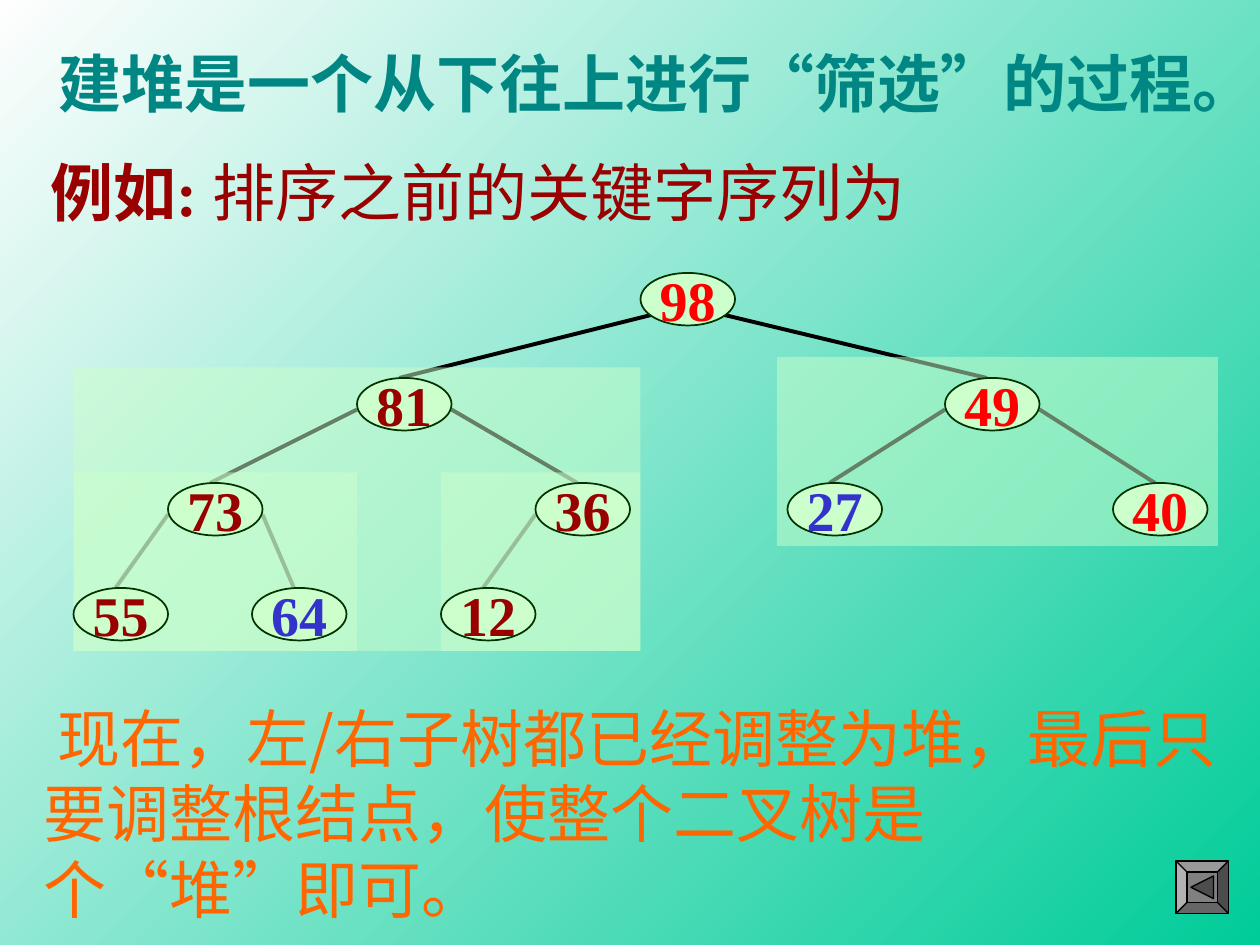
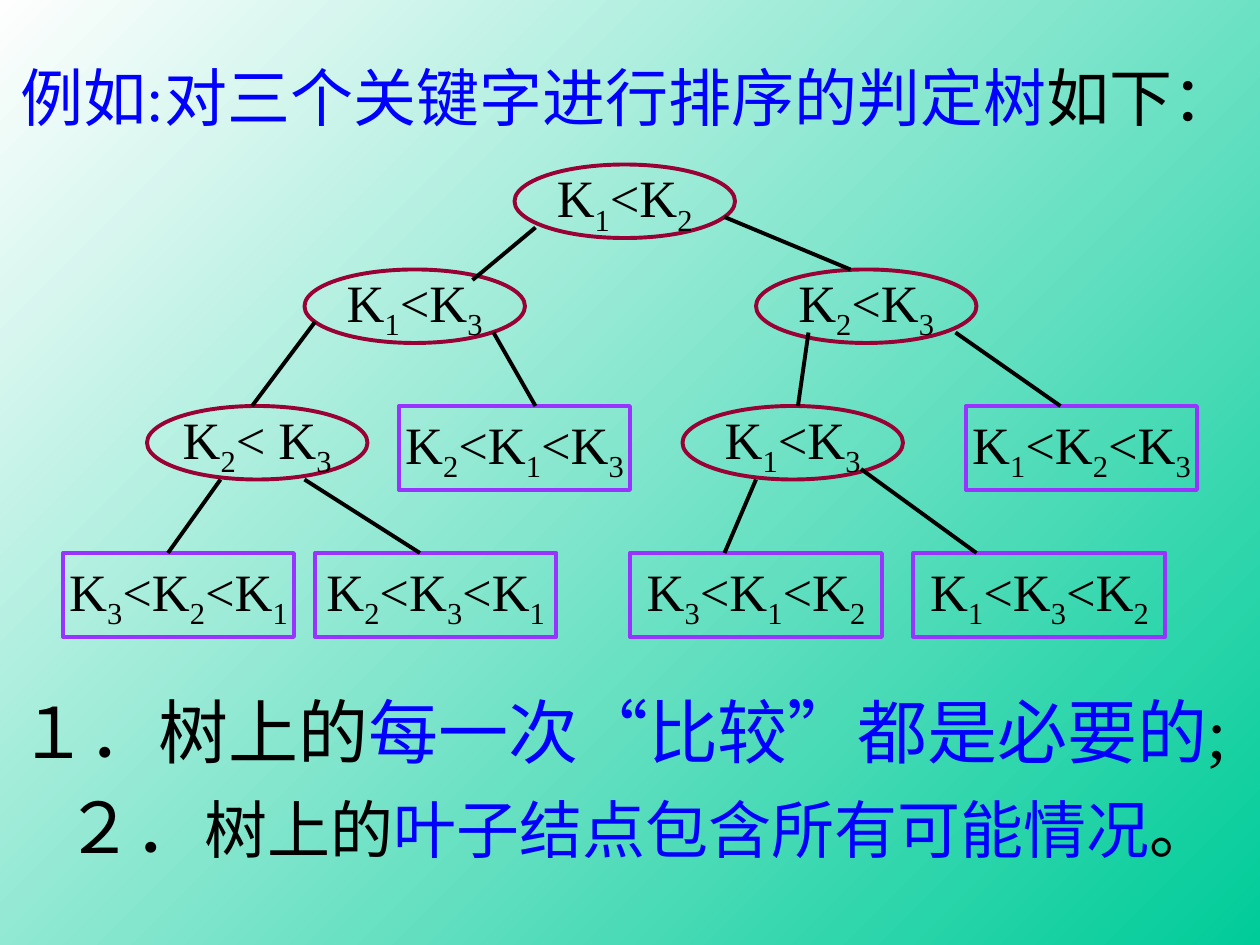
from itertools import groupby

from lxml import etree
from pptx import Presentation
from pptx.dml.color import RGBColor
from pptx.enum.shapes import MSO_CONNECTOR, MSO_SHAPE
from pptx.enum.text import MSO_ANCHOR, MSO_AUTO_SIZE, PP_ALIGN
from pptx.oxml.ns import qn
from pptx.util import Inches, Pt

COLS, ROWS = 120, 90
WIDTH, HEIGHT = Inches(10), Inches(7.5)
STRAIGHT = MSO_CONNECTOR.STRAIGHT
OVAL, RECT = MSO_SHAPE.OVAL, MSO_SHAPE.RECTANGLE
BEVEL, TRIANGLE = MSO_SHAPE.BEVEL, MSO_SHAPE.ISOSCELES_TRIANGLE
TOP, MIDDLE = MSO_ANCHOR.TOP, MSO_ANCHOR.MIDDLE
LEFT, CENTER = PP_ALIGN.LEFT, PP_ALIGN.CENTER
NO_FIT = MSO_AUTO_SIZE.NONE
SERIF, CJK = "Times New Roman", "Noto Sans CJK SC"
COLORS = {
    "green": "00CC99", "white": "FEFEFE", "teal": "008784", "black": "000000",
    "maroon": "990000", "orange": "FF6600", "red": "FF0000", "indigo": "3333CC",
    "mint": "CCFFCC", "forest": "003300", "blue": "0000FF", "wine": "990033",
    "violet": "9933FF", "gray": "808080", "dark": "4D4D4D",
}

HEAP_NODES = {
    "98": (54, 0, "red"), "81": (27, 10, "maroon"), "49": (83, 10, "red"),
    "73": (9, 20, "maroon"), "36": (44, 20, "maroon"), "27": (68, 20, "indigo"),
    "40": (99, 20, "red"), "55": (0, 30, "maroon"), "64": (17, 30, "indigo"),
    "12": (35, 30, "maroon"),
}
HEAP_EDGES = [("98", "81"), ("98", "49"), ("81", "73"), ("81", "36"), ("49", "27"),
              ("49", "40"), ("73", "55"), ("73", "64"), ("36", "12")]
SUBTREES = [(35, 19, 19, 17), (0, 19, 27, 17), (67, 8, 42, 18), (0, 9, 54, 27)]

COMPARISONS = [("K1<K2", 43, 0), ("K1<K3", 23, 10), ("K2<K3", 66, 10),
               ("K2< K3", 8, 23), ("K1<K3", 59, 23)]
OUTCOMES = [("K2<K1<K3", 32, 23, 22), ("K1<K2<K3", 86, 23, 22),
            ("K3<K2<K1", 0, 37, 22), ("K2<K3<K1", 24, 37, 23),
            ("K3<K1<K2", 54, 37, 24), ("K1<K3<K2", 81, 37, 24)]
BRANCHES = [(45, 6, 39, 11), (63, 5, 75, 10), (24, 15, 18, 23), (41, 16, 45, 23),
            (71, 16, 70, 23), (85, 16, 95, 23), (15, 30, 10, 37), (23, 30, 34, 37),
            (66, 30, 63, 37), (76, 29, 87, 37)]


def rgb(name):
    """Return the named colour."""
    return RGBColor.from_string(COLORS[name])


def place(origin, col, row):
    """Return the slide position of a grid point counted from an origin."""
    return (round((origin[0] + col) * WIDTH / COLS),
            round((origin[1] + row) * HEIGHT / ROWS))


def area(origin, col, row, width, height):
    """Return left, top, width and height of a grid area."""
    return (*place(origin, col, row), *place((0, 0), width, height))


def style_run(run, size, color, bold=False, latin=SERIF):
    """Give a run its fonts, size and colour."""
    run.font.size, run.font.bold, run.font.name = Pt(size), bold, latin
    run.font.color.rgb = rgb(color)
    east_asian = etree.SubElement(run._r.get_or_add_rPr(), qn("a:ea"))
    east_asian.set("typeface", CJK)


def write(frame, parts, align=LEFT, anchor=TOP, wrap=False):
    """Fill a frame with one paragraph of (text, style...) parts."""
    frame.auto_size, frame.word_wrap, frame.vertical_anchor = NO_FIT, wrap, anchor
    frame.margin_left = frame.margin_right = Inches(0.1)
    frame.margin_top = frame.margin_bottom = Inches(0.05)
    paragraph = frame.paragraphs[0]
    paragraph.alignment = align
    for words, *style in parts:
        run = paragraph.add_run()
        run.text = words
        style_run(run, *style)
    return paragraph


def write_formula(frame, formula):
    """Write a comparison of keys with their digits as subscripts."""
    pieces = [(digit, "".join(chars)) for digit, chars in groupby(formula, str.isdigit)]
    paragraph = write(frame, [(words, 30, "black") for _, words in pieces], CENTER, MIDDLE)
    for run, (digit, _) in zip(paragraph.runs, pieces):
        if digit:
            run._r.get_or_add_rPr().set("baseline", "-25000")


def add_title(slide, box, parts):
    """Place and write the slide title."""
    title = slide.shapes.title
    title.left, title.top, title.width, title.height = area((0, 0), *box)
    write(title.text_frame, parts)


def add_words(slide, box, parts, wrap=False):
    """Add a text box and return its paragraph."""
    words = slide.shapes.add_textbox(*area((0, 0), *box))
    return write(words.text_frame, parts, wrap=wrap)


def add_figure(slide, kind, box, fill=None, line=None, weight=1):
    """Add a flat preset shape."""
    figure = slide.shapes.add_shape(kind, *box)
    figure.shadow.inherit = False
    if fill:
        figure.fill.solid()
        figure.fill.fore_color.rgb = rgb(fill)
    else:
        figure.fill.background()
    if line:
        figure.line.color.rgb = rgb(line)
        figure.line.width = Pt(weight)
    else:
        figure.line.fill.background()
    return figure


def add_branch(slide, origin, start_col, start_row, end_col, end_row):
    """Draw a tree branch between two grid points."""
    branch = slide.shapes.add_connector(
        STRAIGHT, *place(origin, start_col, start_row), *place(origin, end_col, end_row))
    branch.line.color.rgb = rgb("black")
    branch.line.width = Pt(2.25)
    etree.SubElement(branch._element.spPr, qn("a:effectLst"))


def draw_heap(slide, origin):
    """Draw the binary tree with its subtrees shaded."""
    for parent, child in HEAP_EDGES:
        col, row, _ = HEAP_NODES[parent]
        child_col, child_row, _ = HEAP_NODES[child]
        inset, drop = (1, 4) if parent == "98" else (0, 3)
        side = col + inset if child_col < col else col + 9 - inset
        add_branch(slide, origin, side, row + drop, child_col + 4, child_row)
    for subtree in SUBTREES:
        shade = add_figure(slide, RECT, area(origin, *subtree), "mint")
        tint = shade._element.spPr.find(".//" + qn("a:srgbClr"))
        etree.SubElement(tint, qn("a:alpha")).set("val", "50000")
    for key, (col, row, color) in HEAP_NODES.items():
        node = add_figure(slide, OVAL, area(origin, col, row, 9, 5), "mint", "forest")
        write(node.text_frame, [(key, 32, color, True)], CENTER, MIDDLE)


def draw_back_button(slide, origin):
    """Draw the bevelled button with an arrow to the left."""
    button = add_figure(slide, BEVEL, area(origin, 0, 0, 5, 5), "gray", "black", 0.75)
    button.adjustments[0] = 0.21
    arrow = add_figure(slide, TRIANGLE, area(origin, 1.42, 1.42, 2.16, 2.16),
                       "dark", "black", 0.75)
    arrow.rotation = 270


def draw_decision_tree(slide, origin):
    """Draw the comparisons, the outcomes and the branches between them."""
    for formula, col, row in COMPARISONS:
        test = add_figure(slide, OVAL, area(origin, col, row, 21, 7), None, "wine", 2.25)
        write_formula(test.text_frame, formula)
    for formula, col, row, width in OUTCOMES:
        leaf = add_figure(slide, RECT, area(origin, col, row, width, 8),
                          None, "violet", 2.25)
        write_formula(leaf.text_frame, formula)
    for branch in BRANCHES:
        add_branch(slide, origin, *branch)


def build_heap_slide(slide):
    """Build the slide on making a heap."""
    add_title(slide, (4.4, 3.6, 116.4, 8.4),
              [("建堆是一个从下往上进行“筛选”的过程。", 36, "teal", True)])
    add_words(slide, (3.6, 14, 86.8, 8.4),
              [("例如: ", 36, "maroon", True), ("排序之前的关键字序列为", 36, "maroon")])
    draw_heap(slide, (7, 26))
    summary = add_words(
        slide, (3, 66, 115.2, 22.8),
        [("现在，左/右子树都已经调整为堆，最后只要调整根结点，使整个二叉树是个“堆”即可。",
          36, "orange", False, CJK)], wrap=True)
    summary._p.get_or_add_pPr().set("indent", str(Inches(0.11)))
    draw_back_button(slide, (112, 82))


def build_decision_slide(slide):
    """Build the slide on the decision tree for three keys."""
    add_title(slide, (0.8, 5, 125.4, 8.4),
              [("例如:对三个关键字进行排序的判定树", 36, "blue"), ("如下：", 36, "black")])
    draw_decision_tree(slide, (6, 15.67))
    add_words(slide, (0.6, 65, 119, 9.2),
              [("１．树上的", 40, "black"), ("每一次“比较”都是必要的", 40, "blue"),
               (";", 40, "black")])
    add_words(slide, (5, 74, 111.8, 9.2),
              [("２．", 40, "black"), ("树上的", 36, "black"),
               ("叶子结点包含所有可能情况", 36, "blue"), ("。", 36, "black")])


def paint_background(master):
    """Give the master its diagonal gradient."""
    fill = master.background.fill
    fill.gradient()
    fill.gradient_angle = 135
    for stop, color in zip(fill.gradient_stops, ("green", "white")):
        stop.color.rgb = rgb(color)


def main():
    """Build and save the presentation."""
    deck = Presentation()
    deck.slide_width, deck.slide_height = WIDTH, HEIGHT
    paint_background(deck.slide_master)
    title_only = deck.slide_layouts[5]
    for build in (build_heap_slide, build_decision_slide):
        build(deck.slides.add_slide(title_only))
    deck.save("out.pptx")


if __name__ == "__main__":
    main()
